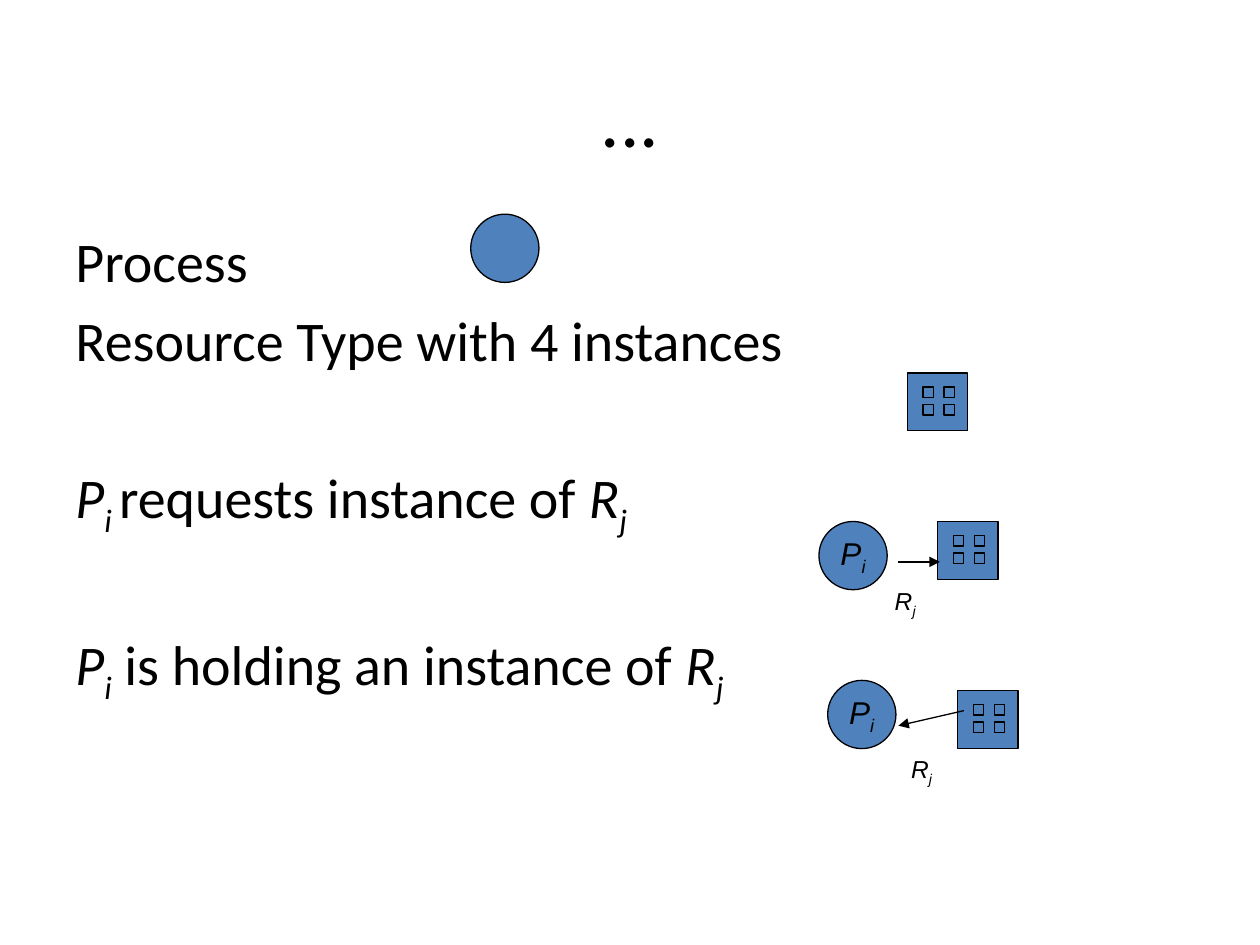
from itertools import product

from lxml import etree
from pptx import Presentation
from pptx.dml.color import RGBColor
from pptx.enum.shapes import MSO_CONNECTOR, MSO_SHAPE
from pptx.enum.text import MSO_ANCHOR, PP_ALIGN
from pptx.oxml.ns import qn
from pptx.util import Pt

OVAL, RECT = MSO_SHAPE.OVAL, MSO_SHAPE.RECTANGLE
STRAIGHT = MSO_CONNECTOR.STRAIGHT
LEFT, CENTER = PP_ALIGN.LEFT, PP_ALIGN.CENTER
TOP, MIDDLE = MSO_ANCHOR.TOP, MSO_ANCHOR.MIDDLE

PLAIN, ITALIC, SUB = "plain", "italic", "sub"
P_I = [("P", ITALIC), ("i", SUB)]
R_J = [("R", ITALIC), ("j", SUB)]

CIRCLE = 39
BOX_W, BOX_H = 34.6, 33.1
INSTANCE = 6


def rgb(value):
    return RGBColor.from_string(value)


class Deck:
    ink, fill = "000000", "4F81BD"
    heading_font, label_font = "Calibri", "Arial"
    line_width = 0.75

    def __init__(self, prs):
        self.s = prs.slides.add_slide(prs.slide_layouts[5])

    def style(self, r, font, size, kind=PLAIN):
        r.font.name, r.font.size = font, Pt(size)
        r.font.color.rgb = rgb(self.ink)
        r.font.italic = kind != PLAIN
        if kind == SUB:
            r._r.get_or_add_rPr().set("baseline", "-25000")

    def add_runs(self, p, parts, font, size, align):
        p.alignment = align
        for text, kind in parts:
            r = p.add_run()
            r.text = text
            self.style(r, font, size, kind)

    def title(self, text, x, y, w, h):
        sp = self.s.shapes.title
        sp.left, sp.top, sp.width, sp.height = Pt(x), Pt(y), Pt(w), Pt(h)
        tf = sp.text_frame
        tf.text = text
        tf.vertical_anchor = MIDDLE
        tf.paragraphs[0].alignment = CENTER
        self.style(tf.paragraphs[0].runs[0], self.heading_font, 44)

    def body(self, lines, x, y, w, h):
        """Set (space before, parts) lines in one text box."""
        tf = self.s.shapes.add_textbox(Pt(x), Pt(y), Pt(w), Pt(h)).text_frame
        tf.word_wrap = True
        tf.vertical_anchor = TOP
        for i, (space, parts) in enumerate(lines):
            p = tf.add_paragraph() if i else tf.paragraphs[0]
            p.space_before = Pt(space)
            self.add_runs(p, parts, self.heading_font, 32, LEFT)

    def label(self, parts, x, y, w, h):
        tf = self.s.shapes.add_textbox(Pt(x), Pt(y), Pt(w), Pt(h)).text_frame
        tf.word_wrap = False
        tf.vertical_anchor = MIDDLE
        self.add_runs(tf.paragraphs[0], parts, self.label_font, 14, CENTER)

    def shape(self, shapes, kind, x, y, w, h):
        sp = shapes.add_shape(kind, Pt(x), Pt(y), Pt(w), Pt(h))
        sp.shadow.inherit = False
        sp.fill.solid()
        sp.fill.fore_color.rgb = rgb(self.fill)
        sp.line.color.rgb = rgb(self.ink)
        sp.line.width = Pt(self.line_width)
        return sp

    def process(self, x, y, parts=()):
        tf = self.shape(self.s.shapes, OVAL, x, y, CIRCLE, CIRCLE).text_frame
        tf.word_wrap = False
        tf.vertical_anchor = MIDDLE
        self.add_runs(tf.paragraphs[0], parts, self.label_font, 18, CENTER)

    def resource(self, x, y):
        """Draw a resource type holding a 2 x 2 grid of instances."""
        shapes = self.s.shapes.add_group_shape().shapes
        self.shape(shapes, RECT, x, y, BOX_W, BOX_H)
        for dy, dx in product((8, 18), (9, 21)):
            self.shape(shapes, RECT, x + dx, y + dy, INSTANCE, INSTANCE)

    def arrow(self, x1, y1, x2, y2):
        c = self.s.shapes.add_connector(STRAIGHT, Pt(x1), Pt(y1), Pt(x2), Pt(y2))
        c.line.color.rgb = rgb(self.ink)
        c.line.width = Pt(self.line_width)
        tail = etree.SubElement(c.line._get_or_add_ln(), qn("a:tailEnd"))
        tail.set("type", "triangle")
        etree.SubElement(c._element.spPr, qn("a:effectLst"))


def main():
    prs = Presentation()
    prs.slide_width, prs.slide_height = Pt(720), Pt(540)
    deck = Deck(prs)

    deck.title("...", 36, 21.6, 648, 90)
    deck.body([
        (0, [("Process", PLAIN)]),
        (6.4, [("Resource Type with 4 instances", PLAIN)]),
        (51.5, [("P", ITALIC), ("i ", SUB), ("requests instance of ", PLAIN)] + R_J),
        (51.5, P_I + [(" is holding an instance of ", PLAIN)] + R_J),
    ], 36, 126, 648, 356.4)

    deck.process(269, 122.4)
    deck.resource(518.4, 213.1)

    # Request edge: process to resource
    deck.process(468, 298, P_I)
    deck.resource(535.7, 298)
    deck.arrow(513.4, 321.1, 537.1, 321.1)
    deck.label(R_J, 501.8, 332.6, 31, 23.8)

    # Assignment edge: resource to process
    deck.process(473, 388.8, P_I)
    deck.resource(547.2, 394.6)
    deck.arrow(550.8, 406.1, 513.4, 414.7)
    deck.label(R_J, 513.4, 428.4, 26.6, 23.8)

    prs.save("out.pptx")


if __name__ == "__main__":
    main()
